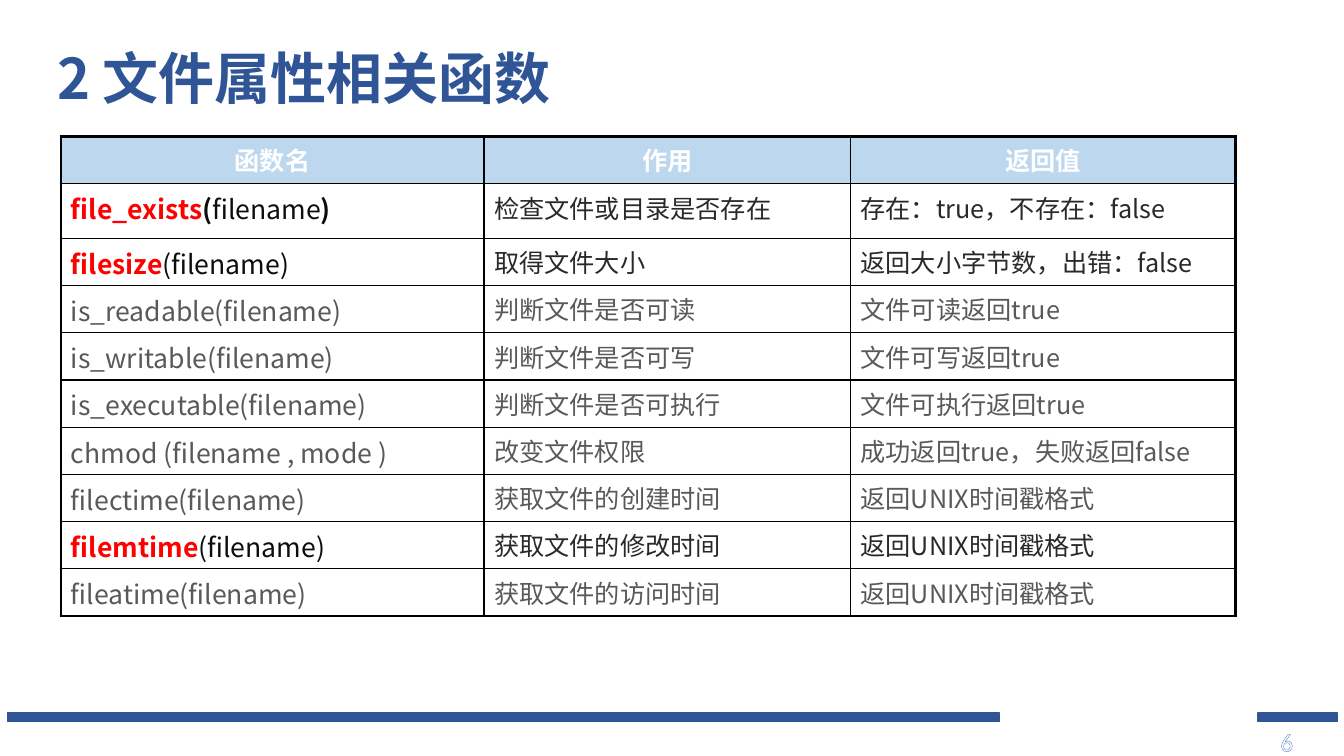
from typing import NamedTuple

from lxml import etree
from pptx import Presentation, util as u
from pptx.dml.color import RGBColor
from pptx.enum import shapes, text
from pptx.oxml import ns

PX = 9525
FONT = "Noto Sans CJK SC"
COLOURS = {
    "bar": "2F5597",
    "header": "BDD7EE",
    "white": "FFFFFF",
    "border": "000000",
    "key": "FF0000",
    "argument": "0D0D0D",
    "strong": "292929",
    "plain": "595959",
    "hatch": "8FAADC",
    "outline": "4472C4",
}


class Box(NamedTuple):
    left: int
    top: int
    width: int
    height: int

    def emu(self) -> list[int]:
        return [u.Emu(v * PX) for v in self]


class Span(NamedTuple):
    text: str
    colour: str
    size: int = 18
    bold: bool = False


class Function(NamedTuple):
    name: str
    arguments: str
    purpose: str
    result: str
    key: bool = False
    bold_brackets: bool = False


BARS = [Box(7, 679, 945, 8), Box(1198, 679, 76, 8)]
TITLE = Box(45, 8, 1104, 139)
NUMBER = Box(1210, 687, 64, 38)
TABLE = Box(58, 130, 1119, 457)
COLUMNS = [403, 349, 367]
ROW_HEIGHT = 45
FIRST_FUNCTION_HEIGHT = 52
HEADERS = ["函数名", "作用", "返回值"]
FUNCTIONS = [
    Function("file_exists", "(filename)", "检查文件或目录是否存在", "存在：true，不存在：false", True, True),
    Function("filesize", "(filename)", "取得文件大小", "返回大小字节数，出错：false", True),
    Function("is_readable", "(filename)", "判断文件是否可读", "文件可读返回true"),
    Function("is_writable", "(filename)", "判断文件是否可写", "文件可写返回true"),
    Function("is_executable", "(filename)", "判断文件是否可执行", "文件可执行返回true"),
    Function("chmod", " (filename , mode )", "改变文件权限", "成功返回true，失败返回false"),
    Function("filectime", "(filename)", "获取文件的创建时间", "返回UNIX时间戳格式"),
    Function("filemtime", "(filename)", "获取文件的修改时间", "返回UNIX时间戳格式", True),
    Function("fileatime", "(filename)", "获取文件的访问时间", "返回UNIX时间戳格式"),
]


def rgb(name: str) -> RGBColor:
    return RGBColor.from_string(COLOURS[name])


def add_colour(parent, tag: str, name: str) -> None:
    holder = etree.SubElement(parent, ns.qn(tag))
    etree.SubElement(holder, ns.qn("a:srgbClr"), val=COLOURS[name])


def add_span(p, span: Span) -> None:
    r = p.add_run()
    r.text = span.text
    r.font.name = FONT
    r.font.size = u.Pt(span.size)
    r.font.bold = span.bold
    r.font.color.rgb = rgb(span.colour)
    etree.SubElement(r.font._element, ns.qn("a:ea"), typeface=FONT)


def add_bar(s, box: Box) -> None:
    bar = s.shapes.add_shape(shapes.MSO_SHAPE.RECTANGLE, *box.emu())
    bar.shadow.inherit = False
    bar.fill.solid()
    bar.fill.fore_color.rgb = rgb("bar")
    bar.line.color.rgb = rgb("bar")
    bar.line.width = u.Pt(1)


def add_title(s) -> None:
    tf = s.shapes.add_textbox(*TITLE.emu()).text_frame
    tf.word_wrap = True
    tf.vertical_anchor = text.MSO_ANCHOR.MIDDLE
    p = tf.paragraphs[0]
    p.line_spacing = 0.9
    add_span(p, Span("2 文件属性相关函数", "bar", 40, True))


def add_number(s) -> None:
    tf = s.shapes.add_textbox(*NUMBER.emu()).text_frame
    tf.word_wrap = True
    tf.text = "6"
    font = tf.paragraphs[0].runs[0].font
    font.name = "Calibri"
    font.size = u.Pt(18)
    font.fill.patterned()
    font.fill.pattern = 21
    rpr = font._element
    rpr.remove(rpr.find(ns.qn("a:pattFill")))
    hatch = etree.Element(ns.qn("a:pattFill"), prst="ltDnDiag")
    add_colour(hatch, "a:fgClr", "hatch")
    add_colour(hatch, "a:bgClr", "white")
    outline = etree.Element(ns.qn("a:ln"), w=str(u.Pt(1)))
    add_colour(outline, "a:solidFill", "outline")
    rpr.insert(0, outline)
    rpr.insert(1, hatch)


def name_spans(f: Function) -> list[Span]:
    if not f.key:
        return [Span(f.name + f.arguments, "plain", 19)]
    name = Span(f.name, "key", 19, True)
    if not f.bold_brackets:
        return [name, Span(f.arguments, "argument", 19)]
    return [
        name,
        Span("(", "argument", 19, True),
        Span(f.arguments.strip("()"), "argument", 19),
        Span(")", "argument", 19, True),
    ]


def row_spans(f: Function) -> list[list[Span]]:
    colour = "strong" if f.key else "plain"
    return [name_spans(f), [Span(f.purpose, colour)], [Span(f.result, colour)]]


def add_borders(cell, row: int, column: int, last_row: int) -> None:
    outer = {
        "a:lnL": column == 0,
        "a:lnR": column == len(COLUMNS) - 1,
        "a:lnT": row == 0,
        "a:lnB": row == last_row,
    }
    tcpr = cell._tc.get_or_add_tcPr()
    for tag, thick in outer.items():
        ln = etree.SubElement(tcpr, ns.qn(tag), w=str(u.Pt(2.25 if thick else 1)))
        add_colour(ln, "a:solidFill", "border")


def add_function_table(s) -> None:
    rows = [[[Span(h, "white", 18, True)] for h in HEADERS]]
    rows += [row_spans(f) for f in FUNCTIONS]
    table = s.shapes.add_table(len(rows), len(COLUMNS), *TABLE.emu()).table
    table.first_row = False
    table.horz_banding = False
    for column, width in zip(table.columns, COLUMNS):
        column.width = u.Emu(width * PX)
    for i, row in enumerate(rows):
        height = FIRST_FUNCTION_HEIGHT if i == 1 else ROW_HEIGHT
        table.rows[i].height = u.Emu(height * PX)
        for j, spans in enumerate(row):
            cell = table.cell(i, j)
            add_borders(cell, i, j, len(rows) - 1)
            p = cell.text_frame.paragraphs[0]
            if i == 0:
                cell.fill.solid()
                cell.fill.fore_color.rgb = rgb("header")
                p.alignment = text.PP_ALIGN.CENTER
            else:
                cell.fill.background()
            for span in spans:
                add_span(p, span)


def main() -> None:
    prs = Presentation()
    prs.slide_width = u.Emu(1280 * PX)
    prs.slide_height = u.Emu(720 * PX)
    s = prs.slides.add_slide(prs.slide_layouts[6])
    for bar in BARS:
        add_bar(s, bar)
    add_number(s)
    add_title(s)
    add_function_table(s)
    prs.save("out.pptx")


if __name__ == "__main__":
    main()
